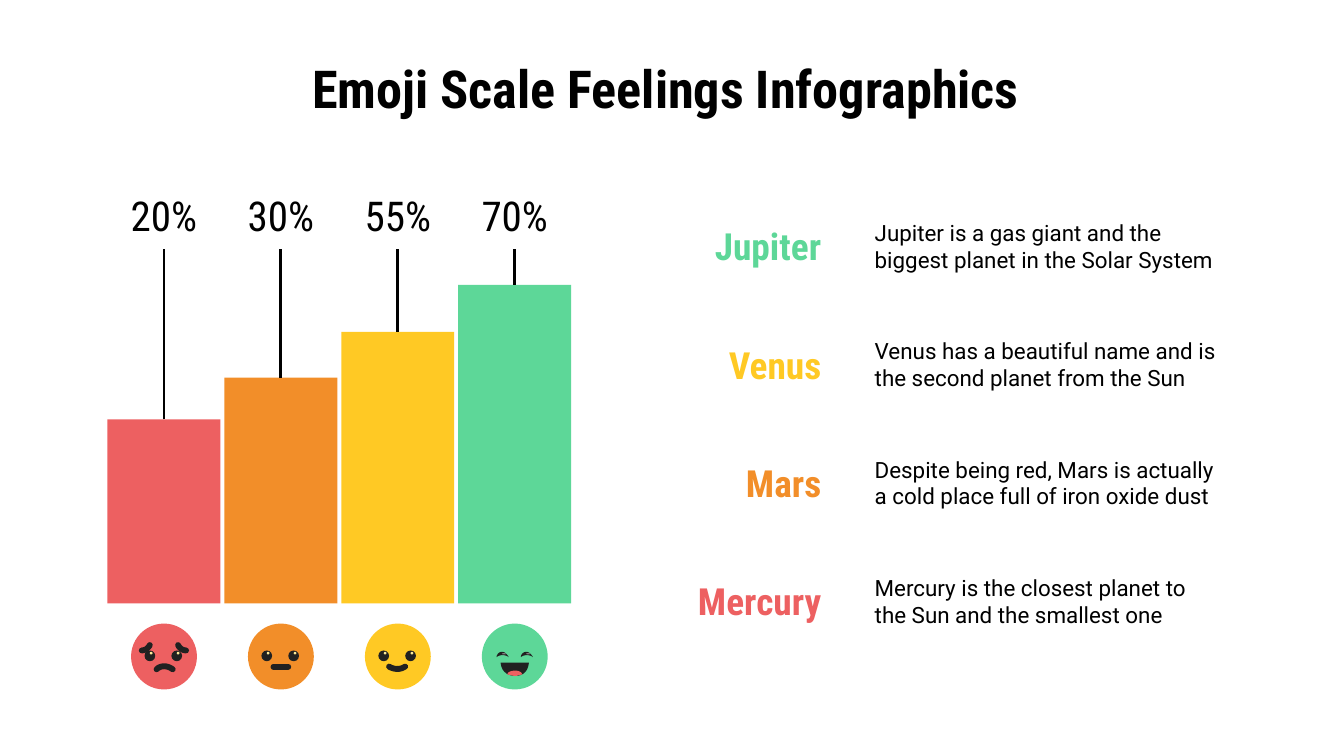
from lxml.etree import SubElement
from pptx import Presentation
from pptx.dml.color import RGBColor
from pptx.enum.shapes import MSO_CONNECTOR, MSO_SHAPE
from pptx.enum.text import MSO_ANCHOR, PP_ALIGN
from pptx.oxml.ns import qn
from pptx.util import Inches, Pt

COLORS = {
    "red": "ED6061", "orange": "F28E29", "yellow": "FFC924", "green": "5DD798",
    "ink": "212121", "glint": "FEEB98", "gray": "7E7E7E", "black": "000000",
}
HEADING_FONT, BODY_FONT = "Roboto Condensed", "Roboto"
FACE_SIZE = 0.49
FACE_STROKE = 3.16

# Curves are a start point followed by three points for each cubic segment
SAD_MOUTH = [(0.19, 0.34), (0.22, 0.31), (0.27, 0.31), (0.31, 0.34)]
BROW = [(0.14, 0.16), (0.13, 0.18), (0.11, 0.2), (0.08, 0.2)]
SMILE = [(0.18, 0.32), (0.18, 0.32), (0.24, 0.36), (0.3, 0.32)]
OPEN_MOUTH = [(0.14, 0.29), (0.14, 0.29), (0.14, 0.39), (0.25, 0.39),
              (0.35, 0.39), (0.35, 0.29), (0.35, 0.29)]
TONGUE = [(0.25, 0.35), (0.22, 0.35), (0.19, 0.36), (0.19, 0.38),
          (0.21, 0.38), (0.23, 0.39), (0.25, 0.39),
          (0.26, 0.39), (0.28, 0.38), (0.3, 0.38),
          (0.3, 0.36), (0.27, 0.35), (0.25, 0.35)]
CLOSED_EYE = [(0.11, 0.25), (0.11, 0.23), (0.13, 0.21), (0.15, 0.21),
              (0.17, 0.21), (0.19, 0.23), (0.2, 0.25),
              (0.18, 0.23), (0.13, 0.23), (0.11, 0.25)]

# Percentage, bar height, colour, mood
BARS = [
    ("20%", 1.37, "red", "sad"),
    ("30%", 1.68, "orange", "neutral"),
    ("55%", 2.02, "yellow", "happy"),
    ("70%", 2.37, "green", "laughing"),
]
PLANETS = [
    ("Jupiter", "green", "Jupiter is a gas giant and the biggest planet in the Solar System"),
    ("Venus", "yellow", "Venus has a beautiful name and is the second planet from the Sun"),
    ("Mars", "orange", "Despite being red, Mars is actually a cold place full of iron oxide dust"),
    ("Mercury", "red", "Mercury is the closest planet to the Sun and the smallest one"),
]


def rgb(name):
    return RGBColor.from_string(COLORS[name])


def add_text(shapes, text, left, top, width, height, *, size, font=HEADING_FONT,
             color="black", bold=False, align=PP_ALIGN.LEFT, anchor=MSO_ANCHOR.MIDDLE):
    box = shapes.add_textbox(Inches(left), Inches(top), Inches(width), Inches(height))
    frame = box.text_frame
    frame.word_wrap = True
    frame.vertical_anchor = anchor
    frame.margin_left = frame.margin_right = Inches(0.1)
    frame.margin_top = frame.margin_bottom = Inches(0.1)
    para = frame.paragraphs[0]
    para.alignment = align
    span = para.add_run()
    span.text = text
    span.font.name, span.font.size, span.font.bold = font, Pt(size), bold
    span.font.color.rgb = rgb(color)
    return box


def add_filled(shapes, kind, left, top, width, height, color):
    shape = shapes.add_shape(kind, Inches(left), Inches(top), Inches(width), Inches(height))
    shape.shadow.inherit = False
    shape.fill.solid()
    shape.fill.fore_color.rgb = rgb(color)
    shape.line.fill.background()
    return shape


def add_line(shapes, start, end, color, width):
    line = shapes.add_connector(MSO_CONNECTOR.STRAIGHT, *map(Inches, (*start, *end)))
    line.line.color.rgb = rgb(color)
    line.line.width = Pt(width)
    SubElement(line._element.spPr, qn("a:effectLst"))
    return line


def round_ends(shape):
    shape._element.spPr.find(qn("a:ln")).set("cap", "rnd")


def flatten(curve, steps=8):
    """Turn a chain of cubic segments into points along it."""
    points = [curve[0]]
    for first in range(0, len(curve) - 1, 3):
        segment = curve[first:first + 4]
        for step in range(1, steps + 1):
            t = step / steps
            weights = ((1 - t) ** 3, 3 * t * (1 - t) ** 2, 3 * t * t * (1 - t), t ** 3)
            points.append(tuple(sum(w * p[axis] for w, p in zip(weights, segment))
                                for axis in (0, 1)))
    return points


def add_curve(shapes, curve, left, top, color, filled):
    points = [(Inches(left + x), Inches(top + y)) for x, y in flatten(curve)]
    builder = shapes.build_freeform(*points[0])
    builder.add_line_segments(points[1:], close=filled)
    shape = builder.convert_to_shape()
    shape.shadow.inherit = False
    if filled:
        shape.fill.solid()
        shape.fill.fore_color.rgb = rgb(color)
        shape.line.fill.background()
    else:
        shape.fill.background()
        shape.line.color.rgb = rgb(color)
        shape.line.width = Pt(FACE_STROKE)
        round_ends(shape)


def add_face(shapes, left, top, color, mood):
    add_filled(shapes, MSO_SHAPE.OVAL, left, top, FACE_SIZE, FACE_SIZE, color)
    if mood == "laughing":
        add_curve(shapes, OPEN_MOUTH, left, top, "ink", True)
        add_curve(shapes, TONGUE, left, top, "red", True)
        for shift in (0, 0.18):
            add_curve(shapes, CLOSED_EYE, left + shift, top, "ink", True)
            add_filled(shapes, MSO_SHAPE.OVAL, left + shift + 0.15, top + 0.22,
                       0.03, 0.01, "gray")
        return

    # Open eyes with a glint
    for eye in (0.1, 0.3):
        add_filled(shapes, MSO_SHAPE.OVAL, left + eye, top + 0.2, 0.08, 0.08, "ink")
        add_filled(shapes, MSO_SHAPE.OVAL, left + eye + 0.04, top + 0.21, 0.02, 0.02, "glint")
    if mood == "neutral":
        mouth = add_line(shapes, (left + 0.19, top + 0.32), (left + 0.3, top + 0.32),
                         "ink", FACE_STROKE)
        round_ends(mouth)
    elif mood == "happy":
        add_curve(shapes, SMILE, left, top, "ink", False)
    else:
        mirrored_brow = [(FACE_SIZE - x, y) for x, y in BROW]
        for curve in (SAD_MOUTH, BROW, mirrored_brow):
            add_curve(shapes, curve, left, top, "ink", False)


def add_bar_scale(page, left, top, bar_width=0.84, pitch=0.87):
    label_height, base = 0.5, top + 3.14
    for index, (percent, height, color, mood) in enumerate(BARS):
        x = left + index * pitch
        center = x + bar_width / 2
        shapes = page.shapes.add_group_shape().shapes
        bar = add_filled(shapes, MSO_SHAPE.RECTANGLE, x, base - height,
                         bar_width, height, color)
        add_face(shapes, center - FACE_SIZE / 2, base + 0.15, color, mood)
        label = add_text(shapes, percent, x, top, bar_width, label_height,
                         size=22, align=PP_ALIGN.CENTER)
        stem = add_line(shapes, (center, base - height), (center, top + label_height),
                        "black", 1.5)
        stem.begin_connect(bar, 0)
        stem.end_connect(label, 2)


def add_planet_list(page, left, top, pitch=0.88):
    for index, (name, color, description) in enumerate(PLANETS):
        y = top + index * pitch
        add_text(page.shapes, name, left, y + 0.12, 1.5, 0.54, size=20,
                 color=color, bold=True, align=PP_ALIGN.RIGHT)
        add_text(page.shapes, description, left + 1.7, y, 2.79, 0.78,
                 size=12, font=BODY_FONT)


def main():
    deck = Presentation()
    # Widescreen, 16 to 9
    deck.slide_width = Inches(10)
    deck.slide_height = deck.slide_width * 9 // 16
    page = deck.slides.add_slide(deck.slide_layouts[6])
    add_text(page.shapes, "Emoji Scale Feelings Infographics ", 0.5, 0.32, 8.99, 0.63,
             size=28, bold=True, align=PP_ALIGN.CENTER, anchor=MSO_ANCHOR.TOP)
    add_planet_list(page, 4.71, 1.44)
    add_bar_scale(page, 0.8, 1.35)
    deck.save("out.pptx")


if __name__ == "__main__":
    main()
